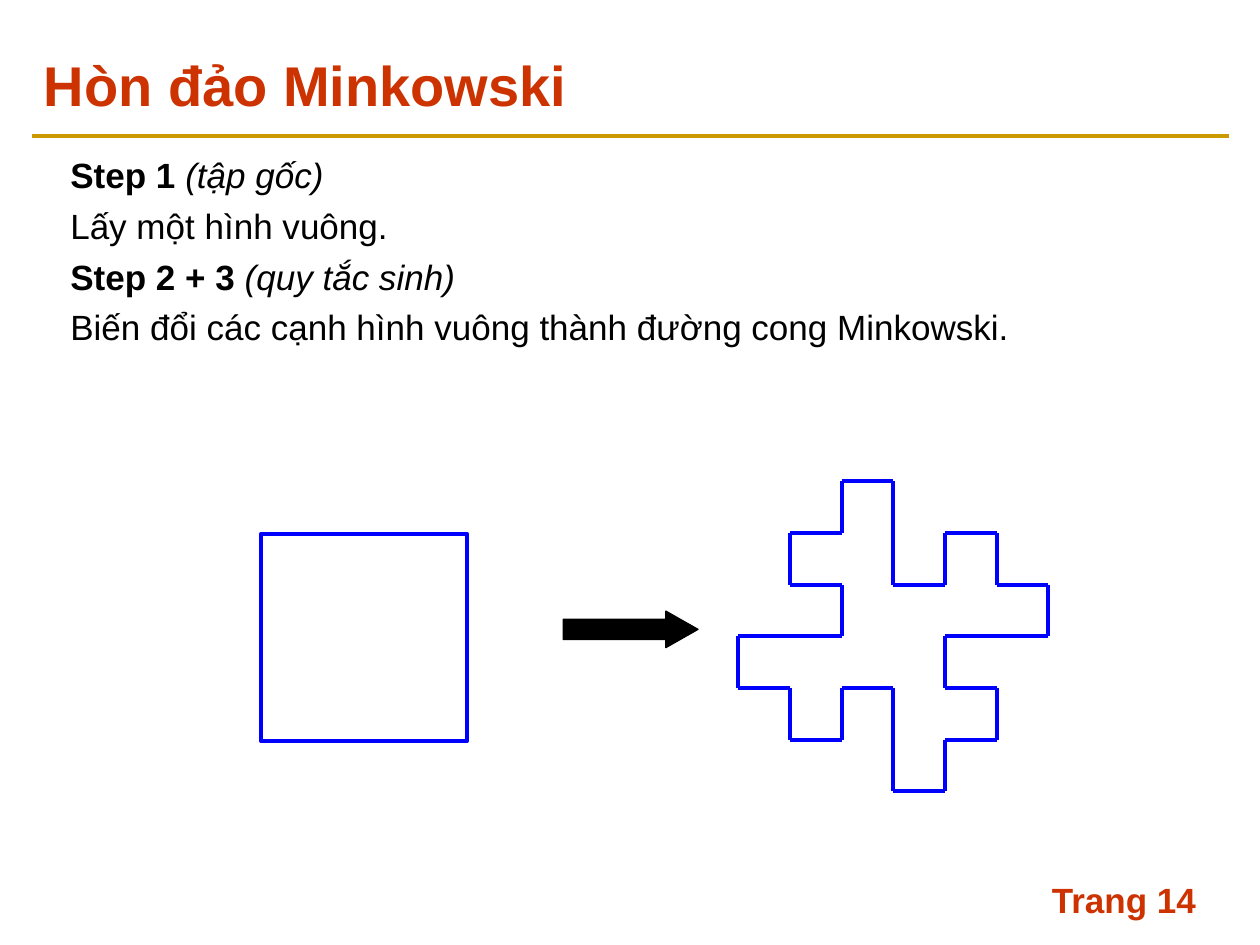
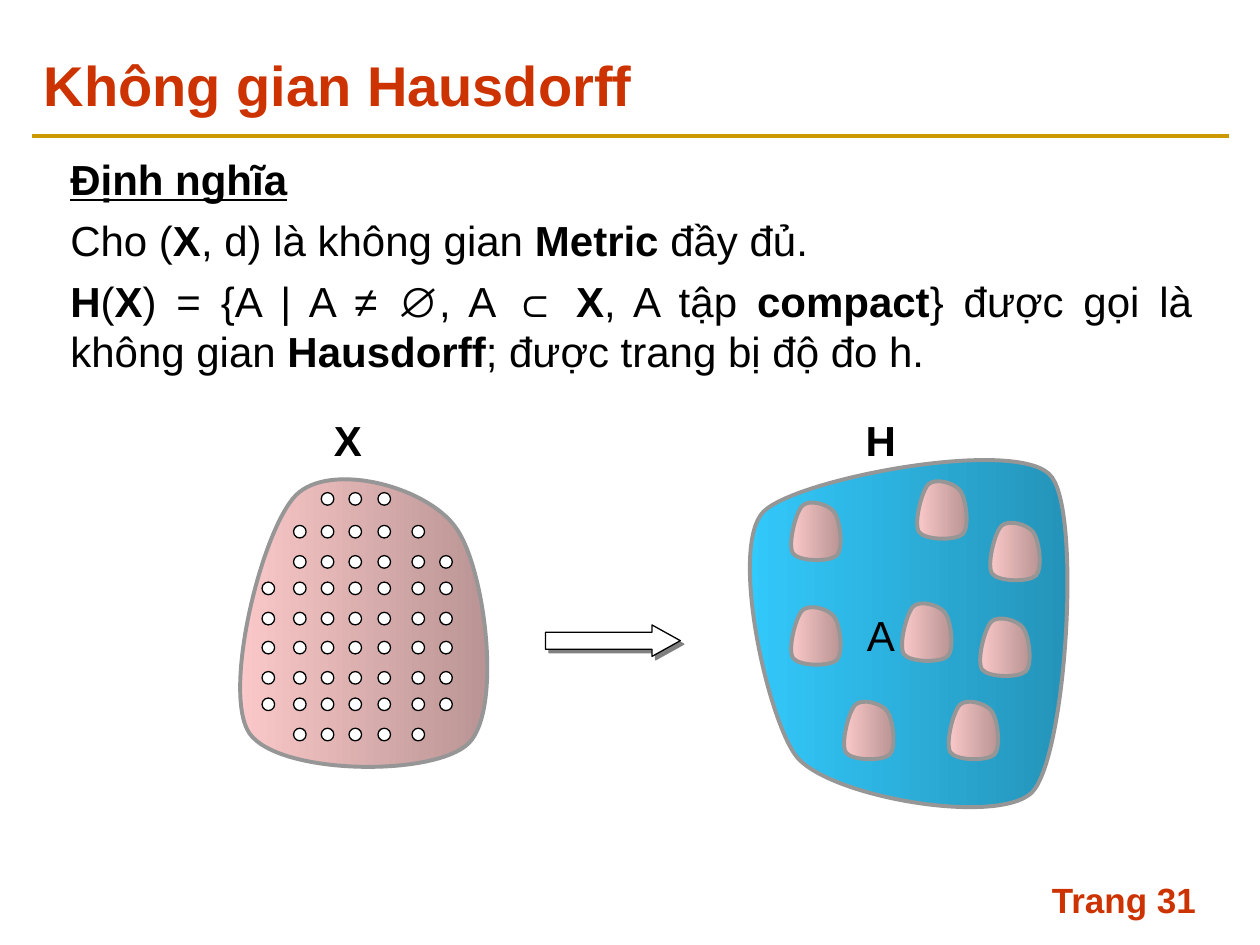
from itertools import product
from lxml import etree
from pptx import Presentation
from pptx import util as u
from pptx.dml.color import RGBColor
from pptx.enum import shapes, text
from pptx.oxml.ns import qn

PX = 9144
FONT = "Arial"
RED, GOLD, BLUE, GRAY = "CC3300", "CC9900", "0000FF", "969696"
BLACK, WHITE, SHADOW = "000000", "FFFFFF", "808080"
PINK, CYAN = "FFCCCC", "33CCFF"

MINKOWSKI = {
    "title": "Hòn đảo Minkowski",
    "page": "Trang 14",
    "body": [
        [("Step 1", "b"), (" (tập gốc)", "i")],
        [("Lấy một hình vuông.", "")],
        [("Step 2 + 3", "b"), (" (quy tắc sinh)", "i")],
        [("Biến đổi các cạnh hình vuông thành đường cong Minkowski.", "")],
    ],
}
HAUSDORFF = {
    "title": "Không gian Hausdorff",
    "page": "Trang 31",
    "body": [
        [("Định nghĩa", "bu")],
        [("Cho (", ""), ("X", "b"), (", d) là không gian ", ""),
         ("Metric", "b"), (" đầy đủ.", "")],
        [("H", "b"), ("(", ""), ("X", "b"), (") = {A | A ≠ ∅, A ⊂ ", ""),
         ("X", "b"), (", A tập ", ""), ("compact", "b"),
         ("} được gọi là không gian ", ""), ("Hausdorff", "b"),
         ("; được trang bị độ đo h.", "")],
    ],
}

ISLAND_START, ISLAND_STEP = (627, 423), 41
GENERATOR = [(1, 0), (0, -1), (1, 0), (0, 1), (0, 1), (1, 0), (0, -1), (1, 0)]

SPACE_X = [(59, 27), (86, 0), (163, 20), (186, 53), (209, 85), (223, 197),
           (196, 224), (168, 251), (45, 249), (22, 216), (0, 183), (32, 54)]
SPACE_H = [(27, 60), (55, 33), (234, 0), (256, 33), (279, 65), (267, 255),
           (240, 283), (212, 310), (75, 286), (52, 253), (29, 220), (0, 88)]
COMPACT_SETS = [(713, 476), (750, 554), (775, 488), (783, 412),
                (625, 396), (625, 479), (667, 554), (725, 379)]
COMPACT_SCALE = 0.2
LABELS = [("X", "b", 265, 329), ("H", "b", 687, 329), ("A", "", 688, 484)]
DOT_SIZE = 10
DOT_COLUMNS = [208, 233, 255, 277, 300, 327, 349]
DOT_ROWS = [(391, 2, 5), (417, 1, 6), (441, 1, 7), (462, 0, 7), (486, 0, 7),
            (509, 0, 7), (533, 0, 7), (554, 0, 7), (578, 1, 6)]


def rgb(value):
    return RGBColor.from_string(value)


def emu(*lengths):
    return [u.Emu(round(n * PX)) for n in lengths]


def add_text(slide, box, paragraphs, size, color=BLACK, align=None, anchor=None,
             before=0, inset=True, wrap=True):
    s = slide.shapes.add_textbox(*emu(*box))
    tf = s.text_frame
    tf.word_wrap = wrap
    if not wrap:
        tf.auto_size = text.MSO_AUTO_SIZE.SHAPE_TO_FIT_TEXT
    if not inset:
        tf.margin_left = tf.margin_right = tf.margin_top = tf.margin_bottom = 0
    if anchor is not None:
        tf.vertical_anchor = anchor
    for i, runs in enumerate(paragraphs):
        p = tf.paragraphs[0] if i == 0 else tf.add_paragraph()
        p.alignment = align
        if i and before:
            p.space_before = u.Pt(before)
        for words, style in runs:
            r = p.add_run()
            r.text = words
            f = r.font
            f.name, f.size, f.color.rgb = FONT, u.Pt(size), rgb(color)
            f.bold, f.italic, f.underline = "b" in style, "i" in style, "u" in style
    return s


def set_line(s, color, width):
    s.line.color.rgb = rgb(color)
    s.line.width = u.Pt(width)


def add_line(parent, start, end, color):
    s = parent.shapes.add_connector(shapes.MSO_CONNECTOR.STRAIGHT, *emu(*start, *end))
    set_line(s, color, 2.25)
    etree.SubElement(s._element.spPr, qn("a:effectLst"))


def add_preset(slide, kind, box, fill, line=BLACK, width=0.75, adjust=()):
    s = slide.shapes.add_shape(kind, *emu(*box))
    s.shadow.inherit = False
    s.fill.solid()
    s.fill.fore_color.rgb = rgb(fill)
    set_line(s, line, width)
    for i, value in enumerate(adjust):
        s.adjustments[i] = value
    return s


def add_blob(slide, origin, outline, color, scale=1):
    points = [emu(*(o + scale * n for o, n in zip(origin, pt))) for pt in outline]
    builder = slide.shapes.build_freeform(*points[0], scale=1.0)
    builder.add_line_segments(points[1:] + points[:1], close=False)
    s = builder.convert_to_shape()
    path = next(s._element.iter(qn("a:path")))
    segments = path.findall(qn("a:lnTo"))
    for i in range(0, len(segments), 3):
        curve = etree.SubElement(path, qn("a:cubicBezTo"))
        for segment in segments[i:i + 3]:
            curve.append(segment[0])
            path.remove(segment)
    etree.SubElement(path, qn("a:close"))
    s.shadow.inherit = False
    s.fill.gradient()
    s.fill.gradient_angle = 0
    for stop in s.fill.gradient_stops:
        stop.color.rgb = rgb(color)
    dark = list(s._element.spPr.iter(qn("a:srgbClr")))[-1]
    etree.SubElement(dark, qn("a:shade")).set("val", "46275")
    set_line(s, GRAY, 2.25)


def add_drop_shadow(s):
    effects = s._element.spPr.find(qn("a:effectLst"))
    shadow = etree.SubElement(effects, qn("a:outerShdw"), blurRad="0",
                              dist=str(u.Pt(2.8)), dir="2700000", algn="ctr",
                              rotWithShape="0")
    etree.SubElement(shadow, qn("a:srgbClr"), val=SHADOW)


def add_page(prs, content, size, before, align=None):
    slide = prs.slides.add_slide(prs.slide_layouts[6])
    add_line(slide, (25, 108), (975, 108), GOLD)
    add_text(slide, (825, 692, 150, 50), [[(content["page"], "b")]], 20, color=RED)
    add_text(slide, (25, 33, 950, 67), [[(content["title"], "b")]], 32, color=RED,
             anchor=text.MSO_ANCHOR.MIDDLE)
    add_text(slide, (46, 117, 910, 200), content["body"], size, before=before, align=align)
    return slide


def draw_island(slide):
    island = slide.shapes.add_group_shape()
    x, y = ISLAND_START
    for side, (dx, dy) in product(range(4), GENERATOR):
        for _ in range(side):
            dx, dy = -dy, dx
        end = x + dx * ISLAND_STEP, y + dy * ISLAND_STEP
        add_line(island, (x, y), end, BLUE)
        x, y = end


def draw_spaces(slide):
    add_blob(slide, (176, 366), SPACE_X, PINK)
    add_blob(slide, (579, 346), SPACE_H, CYAN)
    for origin in COMPACT_SETS:
        add_blob(slide, origin, SPACE_X, PINK, scale=COMPACT_SCALE)
    for name, style, x, y in LABELS:
        add_text(slide, (x, y, 24, 40), [[(name, style)]], 24, inset=False, wrap=False)
    for y, first, stop in DOT_ROWS:
        for x in DOT_COLUMNS[first:stop]:
            add_preset(slide, shapes.MSO_SHAPE.OVAL, (x, y, DOT_SIZE, DOT_SIZE), WHITE)


def main():
    prs = Presentation()
    prs.slide_width, prs.slide_height = emu(1000, 750)

    slide = add_page(prs, MINKOWSKI, size=20, before=5)
    draw_island(slide)
    add_preset(slide, shapes.MSO_SHAPE.RECTANGLE, (207, 424, 164, 164), WHITE,
               line=BLUE, width=2.25)
    add_preset(slide, shapes.MSO_SHAPE.RIGHT_ARROW, (447, 485, 107, 29), BLACK,
               adjust=(0.55, 0.88))

    slide = add_page(prs, HAUSDORFF, size=24, before=6, align=text.PP_ALIGN.JUSTIFY)
    draw_spaces(slide)
    arrow = add_preset(slide, shapes.MSO_SHAPE.RIGHT_ARROW, (433, 496, 107, 25), WHITE,
                       adjust=(0.54, 0.9))
    add_drop_shadow(arrow)

    prs.save("out.pptx")


if __name__ == "__main__":
    main()
